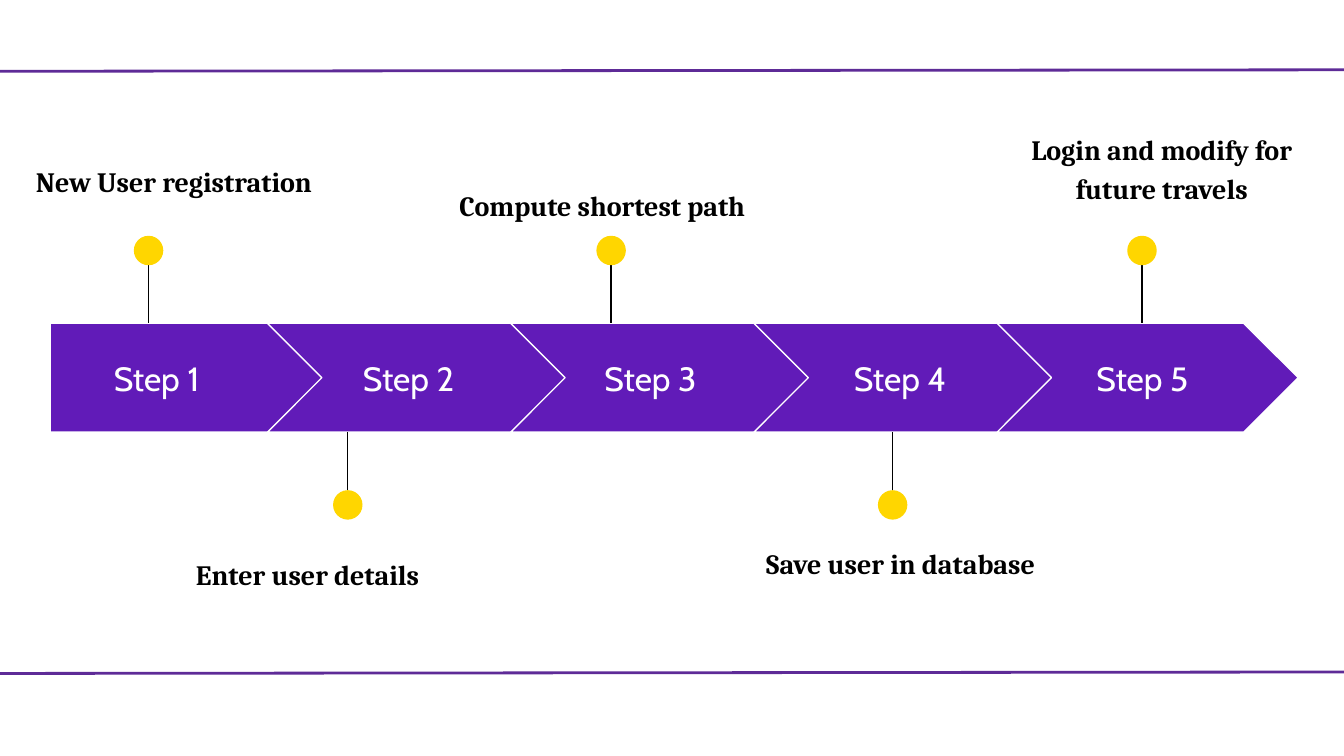
from lxml import etree
from pptx import Presentation
from pptx.dml.color import RGBColor
from pptx.enum.shapes import MSO_CONNECTOR, MSO_SHAPE
from pptx.enum.text import MSO_ANCHOR, PP_ALIGN
from pptx.oxml.ns import qn
from pptx.util import Pt

STRAIGHT = MSO_CONNECTOR.STRAIGHT
PENTAGON, CHEVRON, OVAL = MSO_SHAPE.PENTAGON, MSO_SHAPE.CHEVRON, MSO_SHAPE.OVAL
TOP, MIDDLE = MSO_ANCHOR.TOP, MSO_ANCHOR.MIDDLE
LEFT, CENTER = PP_ALIGN.LEFT, PP_ALIGN.CENTER

PURPLE, RULE_PURPLE, YELLOW = "611BB8", "5E2B97", "FFD600"
WHITE, BLACK = "FFFFFF", "000000"

BAND_TOP, BAND_HEIGHT = 173.2, 58.3
BAND_BOTTOM = BAND_TOP + BAND_HEIGHT
FIRST_LEFT, FIRST_WIDTH = 26.9, 147.6
CHEVRON_LEFT, CHEVRON_WIDTH, CHEVRON_STEP = 143.3, 161.3, 130.3
LABEL_WIDTH, LABEL_HEIGHT = 104, 36.6
DOT_SIZE, STEM_LENGTH = 15.8, 39

STEPS = [
    ("Step 1", 83.9, 79.6, True, "New User registration", (12.2, 78.5, 195.8, 71.3), LEFT),
    ("Step 2", 218.9, 186.3, False, "Enter user details", (97.9, 289, 176.4, 71.3), LEFT),
    ("Step 3", 348.5, 327.4, True, "Compute shortest path", (239, 91.2, 195.8, 59), LEFT),
    ("Step 4", 482.2, 478.2, False, "Save user in database", (403.4, 283, 176.4, 71.3), LEFT),
    ("Step 5", 612, 611.8, True, "Login and modify for future travels", (534.2, 61.2, 176.4, 71.3), CENTER),
]


def color(hex_string):
    return RGBColor.from_string(hex_string)


def add_text(page, text, frame, *, font, size, fill, bold=False, align=LEFT,
             anchor=TOP, spacing=None, after=0):
    box = page.shapes.add_textbox(*map(Pt, frame))
    body = box.text_frame
    body.word_wrap = True
    body.vertical_anchor = anchor
    body.margin_left = body.margin_right = Pt(7.2)
    body.margin_top = body.margin_bottom = Pt(7.2)
    para = body.paragraphs[0]
    para.alignment = align
    para.line_spacing = spacing
    para.space_after = Pt(after)
    span = para.add_run()
    span.text = text
    span.font.name = font
    span.font.size = Pt(size)
    span.font.bold = bold
    span.font.color.rgb = color(fill)


def add_figure(page, kind, frame, fill, outline=None):
    figure = page.shapes.add_shape(kind, *map(Pt, frame))
    figure.shadow.inherit = False
    figure.fill.solid()
    figure.fill.fore_color.rgb = color(fill)
    if outline:
        figure.line.color.rgb = color(outline)
        figure.line.width = Pt(0.75)
    else:
        figure.line.fill.background()
    return figure


def add_line(page, start, end, stroke, width):
    line = page.shapes.add_connector(STRAIGHT, *map(Pt, (*start, *end)))
    line.line.color.rgb = color(stroke)
    line.line.width = Pt(width)
    etree.SubElement(line.element.spPr, qn("a:effectLst"))


def add_arrow(page, index):
    if index == 0:
        kind, left, width = PENTAGON, FIRST_LEFT, FIRST_WIDTH
    else:
        kind, width = CHEVRON, CHEVRON_WIDTH
        left = CHEVRON_LEFT + (index - 1) * CHEVRON_STEP
    arrow = add_figure(page, kind, (left, BAND_TOP, width, BAND_HEIGHT), PURPLE, WHITE)
    arrow.adjustments[0] = 0.5


def add_pin(page, x, above):
    edge, direction = (BAND_TOP, -1) if above else (BAND_BOTTOM, 1)
    center = edge + direction * STEM_LENGTH
    add_line(page, (x, center), (x, edge), BLACK, 0.75)
    add_figure(page, OVAL, (x - DOT_SIZE / 2, center - DOT_SIZE / 2, DOT_SIZE, DOT_SIZE), YELLOW)


def main():
    deck = Presentation()
    deck.slide_width, deck.slide_height = Pt(720), Pt(405)
    page = deck.slides.add_slide(deck.slide_layouts[6])
    label_top = BAND_TOP + (BAND_HEIGHT - LABEL_HEIGHT) / 2

    for index, (label, label_x, pin_x, above, caption, frame, align) in enumerate(STEPS):
        add_arrow(page, index)
        add_text(page, label, (label_x - LABEL_WIDTH / 2, label_top, LABEL_WIDTH, LABEL_HEIGHT),
                 font="Cabin", size=18, fill=WHITE, align=CENTER, anchor=MIDDLE)
        add_pin(page, pin_x, above)
        add_text(page, caption, frame, font="Cambria", size=15, fill=BLACK,
                 bold=True, align=align, spacing=1.15, after=12)

    for y in (38.2, 360.8):
        add_line(page, (-3.6, y), (723.6, y - 0.8), RULE_PURPLE, 1.5)

    deck.save("out.pptx")


if __name__ == "__main__":
    main()
